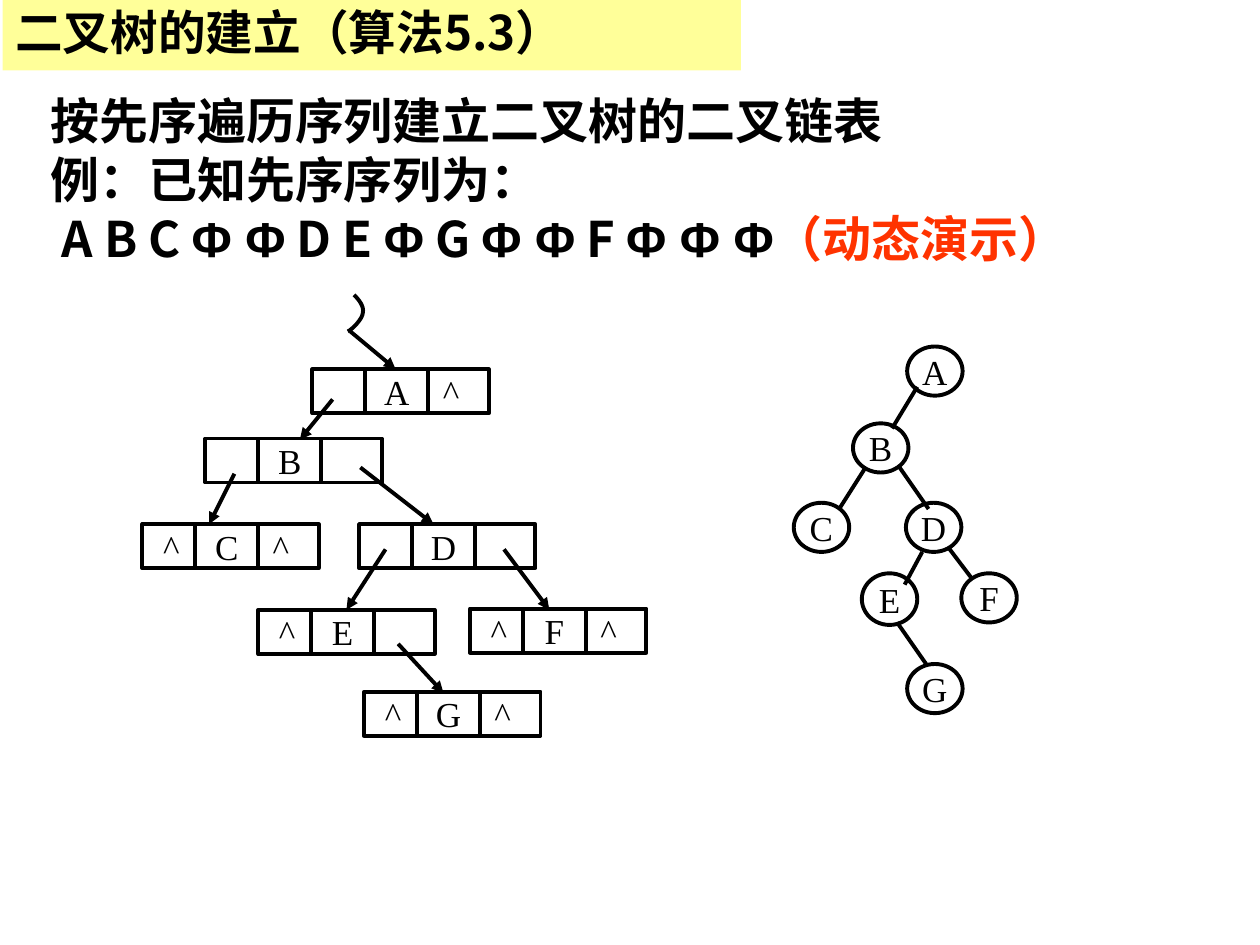
from pptx import Presentation
from pptx.dml.color import RGBColor
from pptx.enum.shapes import MSO_CONNECTOR, MSO_SHAPE
from pptx.enum.text import MSO_ANCHOR, MSO_AUTO_SIZE, PP_ALIGN
from pptx.oxml.ns import qn
from pptx.util import Inches, Pt
from lxml.etree import SubElement

COLORS = {"ink": "000000", "banner": "FFFF99", "accent": "FF3300"}
CJK, LATIN, SERIF = "Noto Sans CJK SC", "Arial", "Times New Roman"
LINE_WIDTH = Pt(2.25)

CELL_WIDTH, CELL_HEIGHT = 1.4, 0.35
DIVIDERS = (0.42, 0.92)
TAB_CENTERS = (0.23, 0.67, 1.1)
RECORDS = {
    "A": (1.35, 0.59, "\t\tA\t^"),
    "B": (0.5, 1.14, "\t\tB"),
    "C": (0, 1.82, "\t^\tC\t^"),
    "D": (1.72, 1.82, "\t\tD"),
    "E": (0.92, 2.5, "\t^\tE"),
    "F": (2.6, 2.49, "\t^\tF\t^"),
    "G": (1.76, 3.15, "\t^\tG\t^"),
}
POINTERS = {
    "A": (1.65, 0.29, 2.01, 0.59),
    "B": (1.51, 0.83, 1.25, 1.15),
    "C": (0.73, 1.42, 0.53, 1.82),
    "D": (1.73, 1.37, 2.31, 1.82),
    "E": (1.93, 2.02, 1.62, 2.5),
    "F": (2.87, 2.02, 3.23, 2.5),
    "G": (2.03, 2.77, 2.39, 3.16),
}
HEAD_CURVES = (
    ((1.68, 0), (1.72, 0.04), (1.76, 0.09), (1.75, 0.14)),
    ((1.75, 0.14), (1.75, 0.19), (1.66, 0.28), (1.63, 0.29)),
)
TREE_NODES = {
    "A": (0.9, 0, 0.39),
    "B": (0.47, 0.61, 0.39),
    "C": (0, 1.24, 0.39),
    "D": (0.89, 1.24, 0.39),
    "E": (0.54, 1.8, 0.41),
    "F": (1.33, 1.8, 0.39),
    "G": (0.9, 2.52, 0.39),
}
TREE_EDGES = (
    (0.98, 0.32, 0.78, 0.65),
    (0.57, 0.96, 0.36, 1.29),
    (0.84, 0.96, 1.07, 1.29),
    (1.02, 1.63, 0.88, 1.89),
    (1.23, 1.6, 1.42, 1.85),
    (0.82, 2.19, 1.05, 2.52),
)
BODY_LINES = (
    (("按先序遍历序列建立二叉树的二叉链表", CJK, "ink"),),
    (("例：已知先序序列为：", CJK, "ink"),),
    (
        (" A B C ", CJK, "ink"), ("Φ Φ", LATIN, "ink"), (" D E ", CJK, "ink"),
        ("Φ", LATIN, "ink"), (" G ", CJK, "ink"), ("Φ Φ", LATIN, "ink"),
        (" F ", CJK, "ink"), ("Φ Φ Φ", LATIN, "ink"), ("（动态演示）", CJK, "accent"),
    ),
)


def set_attributes(target, values):
    for name, value in values.items():
        setattr(target, name, value)


def color(name):
    return RGBColor.from_string(COLORS[name])


def add_run(paragraph, text, name, size, bold=False, ink="ink"):
    run = paragraph.add_run()
    run.text = text
    set_attributes(run.font, {"name": name, "size": Pt(size), "bold": bold})
    run.font.color.rgb = color(ink)
    if name != SERIF:
        SubElement(run.font._element, qn("a:ea"), typeface=CJK)


def place(shape, box):
    names = ("left", "top", "width", "height")
    set_attributes(shape, dict(zip(names, map(Inches, box))))


def style_outline(shape):
    shape.shadow.inherit = False
    shape.fill.background()
    shape.line.color.rgb = color("ink")
    shape.line.width = LINE_WIDTH


def add_outlined(slide, kind, box):
    shape = slide.shapes.add_shape(kind, *map(Inches, box))
    style_outline(shape)
    shape.text_frame.vertical_anchor = MSO_ANCHOR.MIDDLE
    return shape


def add_line(slide, left, top, points, arrow=False):
    x1, y1, x2, y2 = points
    ends = map(Inches, (left + x1, top + y1, left + x2, top + y2))
    line = slide.shapes.add_connector(MSO_CONNECTOR.STRAIGHT, *ends)
    line.line.color.rgb = color("ink")
    line.line.width = LINE_WIDTH
    if arrow:
        SubElement(line.line._get_or_add_ln(), qn("a:tailEnd"), type="triangle")
    SubElement(line._element.spPr, qn("a:effectLst"))
    return line


def add_title(slide, box):
    title = slide.shapes.title
    place(title, box)
    title.fill.solid()
    title.fill.fore_color.rgb = color("banner")
    set_attributes(title.text_frame, {
        "vertical_anchor": MSO_ANCHOR.MIDDLE,
        "auto_size": MSO_AUTO_SIZE.NONE,
        "word_wrap": True,
    })
    paragraph = title.text_frame.paragraphs[0]
    set_attributes(paragraph, {"alignment": PP_ALIGN.LEFT, "line_spacing": 0.9})
    add_run(paragraph, "二叉树的建立（算法5.3）", CJK, 27.2, True)


def add_body(slide, box):
    body = slide.placeholders[1]
    place(body, box)
    set_attributes(body.text_frame, {"auto_size": MSO_AUTO_SIZE.NONE, "word_wrap": True})
    paragraph = body.text_frame.paragraphs[0]
    properties = paragraph._p.get_or_add_pPr()
    properties.set("marL", "0")
    properties.set("indent", "0")
    SubElement(properties, qn("a:buNone"))
    paragraph.space_before = Pt(0)
    for index, line in enumerate(BODY_LINES):
        if index:
            paragraph.add_line_break()
        for text, name, ink in line:
            add_run(paragraph, text, name, 28, True, ink)


def add_tree(slide, left, top):
    for letter, (x, y, height) in TREE_NODES.items():
        node = add_outlined(slide, MSO_SHAPE.OVAL, (left + x, top + y, 0.44, height))
        node.text_frame.word_wrap = False
        paragraph = node.text_frame.paragraphs[0]
        paragraph.alignment = PP_ALIGN.CENTER
        add_run(paragraph, letter, SERIF, 20)
    for edge in TREE_EDGES:
        add_line(slide, left, top, edge)


def add_record(slide, left, top, text):
    record = add_outlined(slide, MSO_SHAPE.RECTANGLE, (left, top, CELL_WIDTH, CELL_HEIGHT))
    set_attributes(record.text_frame, {"margin_left": 0, "margin_right": 0, "word_wrap": True})
    paragraph = record.text_frame.paragraphs[0]
    paragraph.alignment = PP_ALIGN.LEFT
    tabs = SubElement(paragraph._p.get_or_add_pPr(), qn("a:tabLst"))
    for center in TAB_CENTERS:
        SubElement(tabs, qn("a:tab"), pos=str(Inches(center)), algn="ctr")
    add_run(paragraph, text, SERIF, 20)
    for x in DIVIDERS:
        add_line(slide, left, top, (x, 0, x, CELL_HEIGHT))
    return record


def curve_point(curve, t):
    weights = ((1 - t) ** 3, 3 * t * (1 - t) ** 2, 3 * t * t * (1 - t), t ** 3)
    return tuple(sum(w * p[axis] for w, p in zip(weights, curve)) for axis in (0, 1))


def add_linked_list(slide, left, top):
    records = {
        letter: add_record(slide, left + x, top + y, text)
        for letter, (x, y, text) in RECORDS.items()
    }
    for letter, points in POINTERS.items():
        pointer = add_line(slide, left, top, points, arrow=True)
        if letter == "E":
            pointer.end_connect(records[letter], 0)
    samples = [curve_point(curve, step / 8) for curve in HEAD_CURVES for step in range(9)]
    points = [(Inches(left + x), Inches(top + y)) for x, y in samples]
    builder = slide.shapes.build_freeform(*points[0])
    builder.add_line_segments(points[1:], close=False)
    style_outline(builder.convert_to_shape())


def main():
    presentation = Presentation()
    presentation.slide_width, presentation.slide_height = Inches(10), Inches(7.5)
    slide = presentation.slides.add_slide(presentation.slide_layouts[1])
    add_tree(slide, 6.3, 2.75)
    add_linked_list(slide, 1.13, 2.34)
    add_body(slide, (0.3, 0.67, 9.43, 1.97))
    add_title(slide, (0.02, 0, 5.86, 0.56))
    presentation.save("out.pptx")


if __name__ == "__main__":
    main()
